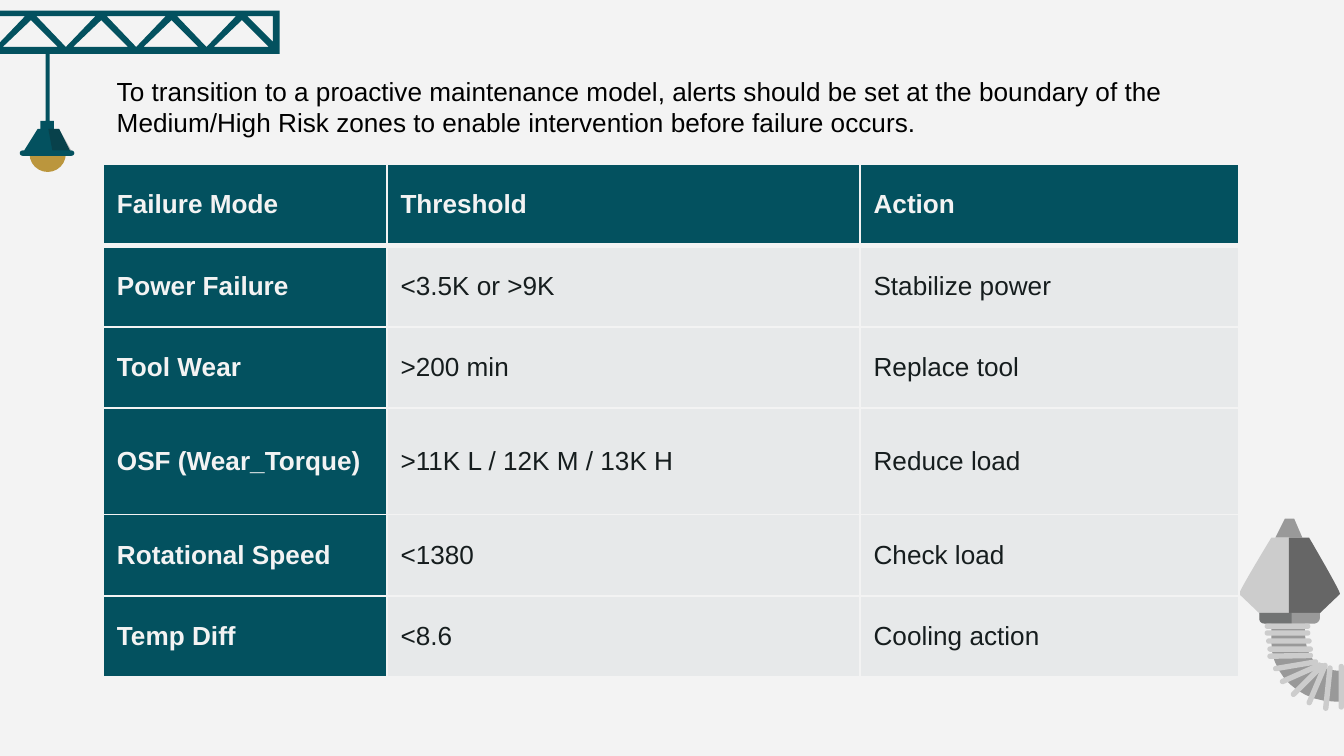
from lxml.etree import SubElement
from pptx import Presentation
from pptx.dml.color import RGBColor
from pptx.enum.shapes import MSO_SHAPE
from pptx.enum.text import MSO_ANCHOR, MSO_AUTO_SIZE
from pptx.oxml import parse_xml
from pptx.oxml.ns import nsdecls, qn
from pptx.util import Inches, Pt

W = 10
H = W * 9 / 16
COLORS = {
    "bg": "F3F3F3", "teal": "03515F", "cell": "E7E9EA", "ink": "161D1E", "black": "000000",
    "bulb": "BB963D", "gray": "999999", "light": "CCCCCC", "dark": "666666",
}
INTRO = ("To transition to a proactive maintenance model, alerts should be set at the boundary of the "
         "Medium/High Risk zones to enable intervention before failure occurs.")
ROWS = [
    ("Failure Mode", "Threshold", "Action"),
    ("Power Failure", "<3.5K or >9K", "Stabilize power"),
    ("Tool Wear", ">200 min", "Replace tool"),
    ("OSF (Wear_Torque)", ">11K L / 12K M / 13K H", "Reduce load"),
    ("Rotational Speed", "<1380", "Check load"),
    ("Temp Diff", "<8.6", "Cooling action"),
]
LEFT, TABLE_TOP, TABLE_H = 0.77, 1.22, 3.82
COL_WIDTHS = (2.11, 3.52, 2.82)
TABLE_W = sum(COL_WIDTHS)
TALL_ROW, TALL_ROW_H = 3, 0.79
ROW_H = (TABLE_H - TALL_ROW_H) / (len(ROWS) - 1)

LAMP = [(0.53, 1.12), (0.52, 1.12), (0.44, 0.96), (0.4, 0.96), (0.4, 0.9), (0.37, 0.9), (0.37, 0.4),
        (0.34, 0.4), (0.34, 0.9), (0.3, 0.9), (0.3, 0.96), (0.28, 0.96), (0.18, 1.12), (0.17, 1.12),
        (0.14, 1.12, 0.14, 1.16, 0.17, 1.16), (0.53, 1.16), (0.56, 1.16, 0.56, 1.12, 0.53, 1.12)]
LAMP_SHADE = [(0.36, 0.96), (0.44, 0.96), (0.53, 1.12), (0.39, 1.12)]
PUMP = [
    ("gray", 100, [(9.49, 4), (9.69, 4), (9.63, 3.86), (9.56, 3.86)]),
    ("light", 100, [(9.43, 4.62), (9.43, 4.62, 9.23, 4.43, 9.22, 4.42),
                    (9.21, 4.41, 9.46, 4, 9.46, 4), (9.6, 4), (9.6, 4.6)]),
    ("dark", 100, [(9.76, 4.62), (9.76, 4.62, 9.96, 4.43, 9.97, 4.42),
                   (9.98, 4.41, 9.74, 4, 9.74, 4), (9.59, 4), (9.59, 4.6)]),
    ("gray", 100, [(10, 5.22), (9.93, 5.22), (9.67, 5.22, 9.46, 5.02, 9.46, 4.78), (9.46, 4.64),
                   (9.71, 4.64), (9.71, 4.7), (9.71, 4.92, 9.83, 5, 10, 4.99)]),
    ("gray", 100, [(9.82, 4.56), (9.82, 4.6), (9.82, 4.62, 9.8, 4.64, 9.78, 4.64), (9.41, 4.64),
                   (9.38, 4.64, 9.37, 4.62, 9.37, 4.6), (9.37, 4.56)]),
    ("ink", 30, [(9.61, 4.64), (9.41, 4.64), (9.38, 4.64, 9.37, 4.62, 9.37, 4.6),
                 (9.37, 4.56), (9.61, 4.56)]),
]
RING_LENGTH, RING_THICKNESS = 0.34, 0.04
RINGS = [(9.58, 4.66, 0), (9.58, 4.71, 0), (9.59, 4.77, 0), (9.6, 4.83, 0), (9.6, 4.88, -1),
         (9.64, 4.95, -9.5), (9.68, 5.01, -24), (9.73, 5.06, -45), (9.8, 5.09, -67),
         (9.88, 5.12, -84), (9.98, 5.11, -90)]


def rgb(name):
    return RGBColor.from_string(COLORS[name])


def paint(sp, color, alpha=100):
    sp.shadow.inherit = False
    sp.line.fill.background()
    sp.fill.solid()
    sp.fill.fore_color.rgb = rgb(color)
    if alpha < 100:
        clr = sp.fill._xPr.find(qn("a:solidFill"))[0]
        SubElement(clr, qn("a:alpha"), val=str(alpha * 1000))


def flatten(path, steps=10):
    points = []
    for seg in path:
        if len(seg) == 2:
            points.append(seg)
            continue
        curve = (points[-1], seg[:2], seg[2:4], seg[4:])
        for i in range(1, steps + 1):
            t = i / steps
            weights = ((1 - t) ** 3, 3 * t * (1 - t) ** 2, 3 * t * t * (1 - t), t ** 3)
            points.append(tuple(sum(w * pt[k] for w, pt in zip(weights, curve)) for k in (0, 1)))
    return points


def add_outline(s, color, *contours, alpha=100):
    builder = None
    for contour in contours:
        pts = [(Inches(x), Inches(y)) for x, y in flatten(contour)]
        if builder is None:
            builder = s.shapes.build_freeform(*pts[0], scale=1.0)
        else:
            builder.move_to(*pts[0])
        builder.add_line_segments(pts[1:], close=True)
    paint(builder.convert_to_shape(), color, alpha)


def add_truss(s):
    left, right, top, bottom = -1.63, 2.08, 0.08, 0.4
    first_apex, last_apex, bays = -1.34, 1.8, 7
    pitch = (last_apex - first_apex) / (bays - 1)
    contours = [[(right, top), (left, top), (left, bottom), (right, bottom)]]
    for i in range(bays):
        x = first_apex + i * pitch
        contours.append([(x, 0.15), (x + 0.2, 0.35), (x - 0.21, 0.35)])
        if i < bays - 1:
            contours.append([(x + 0.04, 0.12), (x + 0.48, 0.12), (x + 0.26, 0.35)])
    contours.append([(2.03, 0.31), (1.84, 0.12), (2.03, 0.12)])
    contours.append([(-1.38, 0.12), (-1.58, 0.32), (-1.58, 0.12)])
    add_outline(s, "teal", *contours)


def add_rings(s):
    for x, y, angle in RINGS:
        sp = s.shapes.add_shape(
            MSO_SHAPE.ROUNDED_RECTANGLE, Inches(x - RING_LENGTH / 2), Inches(y - RING_THICKNESS / 2),
            Inches(RING_LENGTH), Inches(RING_THICKNESS))
        sp.adjustments[0] = 0.5
        sp.rotation = angle
        paint(sp, "light")


def write(tf, text, color, bold=False):
    r = tf.paragraphs[0].add_run()
    r.text = text
    for name, value in {"size": Pt(14), "name": "Arial", "bold": bold}.items():
        setattr(r.font, name, value)
    r.font.color.rgb = rgb(color)


def add_borders(cell, widths):
    tcPr = cell._tc.get_or_add_tcPr()
    for i, (side, width) in enumerate(widths.items()):
        tcPr.insert(i, parse_xml(
            f'<a:ln{side} {nsdecls("a")} w="{Pt(width)}"><a:solidFill>'
            f'<a:srgbClr val="{COLORS["bg"]}"/></a:solidFill></a:ln{side}>'))


def add_risk_table(s):
    table = s.shapes.add_table(len(ROWS), len(COL_WIDTHS), Inches(LEFT), Inches(TABLE_TOP),
                               Inches(TABLE_W), Inches(TABLE_H)).table
    for col, width in zip(table.columns, COL_WIDTHS):
        col.width = Inches(width)
    for i, row in enumerate(ROWS):
        table.rows[i].height = Inches(TALL_ROW_H if i == TALL_ROW else ROW_H)
        for j, text in enumerate(row):
            cell = table.cell(i, j)
            heading = i == 0 or j == 0
            cell.vertical_anchor = MSO_ANCHOR.MIDDLE
            cell.fill.solid()
            cell.fill.fore_color.rgb = rgb("teal" if heading else "cell")
            add_borders(cell, {"L": 1, "R": 1, "T": 3 if i == 1 else 1, "B": 3 if i == 0 else 1})
            write(cell.text_frame, text, "bg" if heading else "ink", heading)


def main():
    prs = Presentation()
    prs.slide_width, prs.slide_height = Inches(W), Inches(H)
    s = prs.slides.add_slide(prs.slide_layouts[6])
    s.background.fill.solid()
    s.background.fill.fore_color.rgb = rgb("bg")

    bulb = s.shapes.add_shape(MSO_SHAPE.OVAL, Inches(0.22), Inches(1.01), Inches(0.27), Inches(0.27))
    paint(bulb, "bulb")
    add_outline(s, "teal", LAMP)
    add_outline(s, "ink", LAMP_SHADE, alpha=30)
    add_truss(s)
    for color, alpha, outline in PUMP:
        add_outline(s, color, outline, alpha=alpha)
    add_rings(s)
    add_risk_table(s)

    tf = s.shapes.add_textbox(Inches(LEFT), Inches(0.51), Inches(TABLE_W), Inches(0.57)).text_frame
    tf.word_wrap = True
    tf.auto_size = MSO_AUTO_SIZE.SHAPE_TO_FIT_TEXT
    write(tf, INTRO, "black")
    prs.save("out.pptx")


if __name__ == "__main__":
    main()
